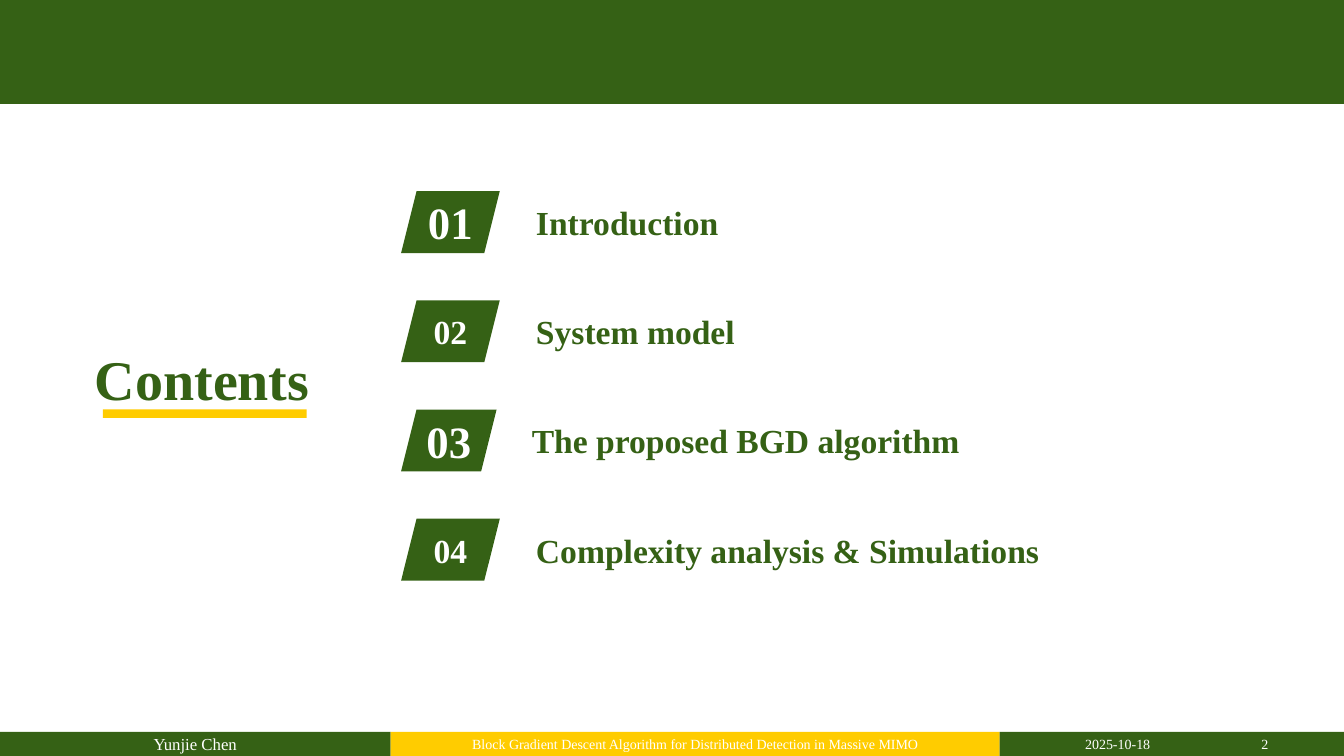
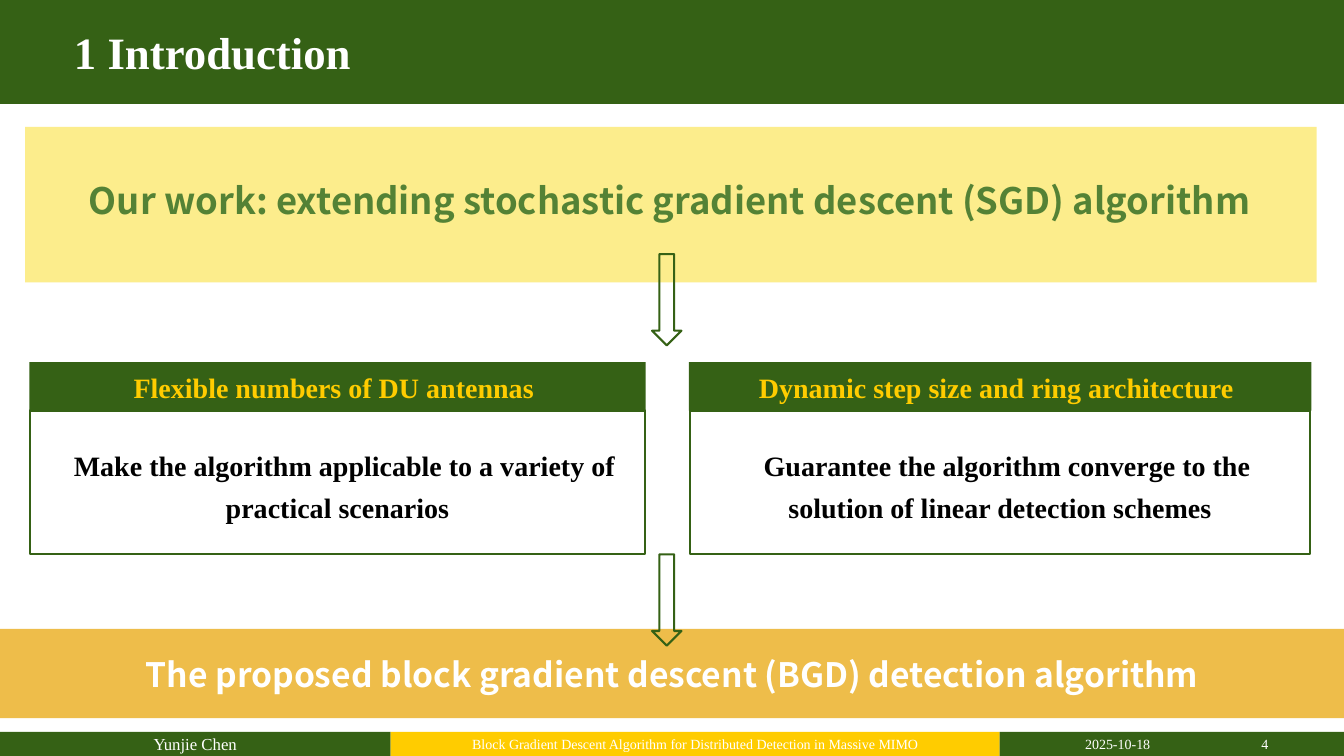
from lxml.etree import SubElement
from pptx import Presentation
from pptx.dml.color import RGBColor
from pptx.enum.shapes import MSO_SHAPE
from pptx.enum.text import MSO_ANCHOR, PP_ALIGN
from pptx.oxml.ns import qn
from pptx.util import Pt

PX = 9525
GREEN, YELLOW, WHITE, BLACK = "356115", "FFCC00", "FFFFFF", "000000"
GOLD, LEMON, LEAF = "EEBD4A", "FBE44F", "548235"
SERIF, SANS = "Times New Roman", "Noto Sans CJK SC"
RECT = MSO_SHAPE.RECTANGLE


def add_shape(s, kind, x, y, w, h, fill=None, line=None, alpha=None):
    sp = s.shapes.add_shape(kind, x * PX, y * PX, w * PX, h * PX)
    sp.shadow.inherit = False
    if fill:
        sp.fill.solid()
        sp.fill.fore_color.rgb = RGBColor.from_string(fill)
    else:
        sp.fill.background()
    if alpha:
        clr = sp.fill._xPr.find(qn("a:solidFill"))[0]
        SubElement(clr, qn("a:alpha")).set("val", str(alpha * 1000))
    if line:
        sp.line.color.rgb = RGBColor.from_string(line)
        sp.line.width = Pt(1.5)
    else:
        sp.line.fill.background()
    return sp


def add_text(sp, text, size, color, font=SERIF, bold=True, align=PP_ALIGN.CENTER,
             anchor=MSO_ANCHOR.MIDDLE, spacing=None, indent=0, wrap=True):
    tf = sp.text_frame
    tf.word_wrap = wrap
    tf.vertical_anchor = anchor
    p = tf.paragraphs[0]
    p.alignment = align
    if spacing:
        p.line_spacing = spacing
    if indent:
        p._p.get_or_add_pPr().set("indent", str(Pt(indent)))
    r = p.add_run()
    r.text = text
    r.font.name = font
    r.font.size = Pt(size)
    r.font.bold = bold
    r.font.color.rgb = RGBColor.from_string(color)
    SubElement(r._r.get_or_add_rPr(), qn("a:ea")).set("typeface", font)


prs = Presentation()
prs.slide_width, prs.slide_height = 1280 * PX, 720 * PX

pages = [
    ("2", "Contents", (81, 322, 233, 76), 40, GREEN, MSO_ANCHOR.BOTTOM),
    ("4", "1 Introduction", (61, 8, 300, 88), 32, WHITE, MSO_ANCHOR.MIDDLE),
]
slides = []
for number, title, place, size, color, anchor in pages:
    s = prs.slides.add_slide(prs.slide_layouts[6])
    slides.append(s)
    sp = add_shape(s, RECT, 0, 697, 372, 23, GREEN)
    add_text(sp, "Yunjie Chen", 12, WHITE, bold=False)
    sp = add_shape(s, RECT, 372, 697, 580, 23, YELLOW)
    add_text(sp, "Block Gradient Descent Algorithm for Distributed Detection in Massive MIMO",
             10, WHITE, bold=False)
    add_shape(s, RECT, 952, 697, 328, 23, GREEN)
    for text, x, w in [("2025-10-18", 1024, 142), (number, 1192, 77)]:
        sp = s.shapes.add_textbox(x * PX, 697 * PX, w * PX, 23 * PX)
        add_text(sp, text, 10, WHITE, bold=False, align=PP_ALIGN.LEFT)
    add_shape(s, RECT, 0, 0, 1280, 99, GREEN)
    sp = s.shapes.add_textbox(*[v * PX for v in place])
    add_text(sp, title, size, color, align=PP_ALIGN.LEFT, anchor=anchor, spacing=0.9)

contents, intro = slides

add_shape(contents, RECT, 98, 390, 194, 8, YELLOW)
rows = [
    ("01", 32, 94, "Introduction", 501),
    ("02", 24, 94, "System model", 501),
    ("03", 32, 91, "The proposed BGD algorithm", 497),
    ("04", 24, 94, "Complexity analysis & Simulations", 501),
]
for i, (number, size, w, text, x) in enumerate(rows):
    y = 182 + 104 * i
    sp = add_shape(contents, MSO_SHAPE.PARALLELOGRAM, 382, y, w, 59, GREEN)
    add_text(sp, number, size, WHITE, wrap=False)
    sp = contents.shapes.add_textbox(x * PX, (y - 8) * PX, 740 * PX, 75 * PX)
    add_text(sp, text, 24, GREEN, align=PP_ALIGN.LEFT)

panels = [
    (28, 587, "Flexible numbers of DU antennas",
     "Make the algorithm applicable to a variety of practical scenarios"),
    (656, 593, "Dynamic step size and ring architecture",
     "Guarantee the algorithm converge to the solution of linear detection schemes"),
]
for x, w, head, body in panels:
    add_shape(intro, RECT, x, 345, w, 46, GREEN)
    sp = intro.shapes.add_textbox((x - 7) * PX, 354 * PX, (w + 7) * PX, 29 * PX)
    add_text(sp, head, 20, YELLOW)
    sp = add_shape(intro, RECT, x + 1, 391, w - 2, 137, WHITE, GREEN)
    add_text(sp, body, 20, BLACK, spacing=1.25, indent=10)

sp = add_shape(intro, RECT, 0, 599, 1280, 85, GOLD)
add_text(sp, "The proposed block gradient descent (BGD) detection algorithm", 24, WHITE, SANS)
add_shape(intro, RECT, 24, 121, 1230, 148, LEMON, alpha=65)
sp = intro.shapes.add_textbox(36 * PX, 133 * PX, 1205 * PX, 115 * PX)
add_text(sp, "Our work: extending stochastic gradient descent (SGD) algorithm", 26, LEAF, SANS)
for y in (242, 528):
    add_shape(intro, MSO_SHAPE.DOWN_ARROW, 621, y, 28, 87, line=GREEN)

prs.save("out.pptx")
